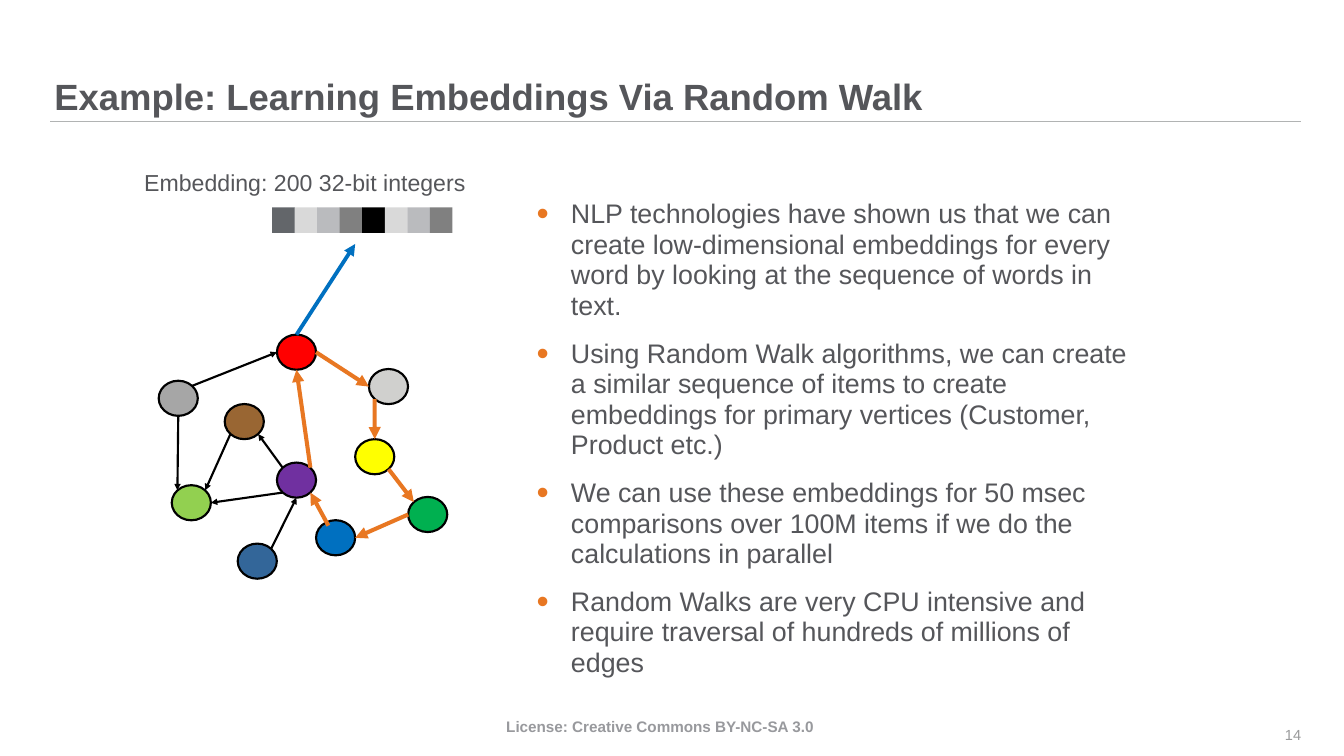
from lxml.etree import SubElement
from pptx import Presentation
from pptx.dml.color import RGBColor
from pptx.enum.shapes import MSO_CONNECTOR as CXN, MSO_SHAPE as SHAPE
from pptx.enum.text import MSO_ANCHOR as ANCHOR, MSO_AUTO_SIZE as AUTO, PP_ALIGN as ALIGN
from pptx.oxml.ns import qn
from pptx.util import Pt

GREY, ORANGE, BLUE, BLACK = "55565A", "E87722", "0070C0", "000000"


def rgb(hex_text):
    return RGBColor.from_string(hex_text)


def add_run(p, text, size, color=GREY, bold=False):
    r = p.add_run()
    r.text = text
    r.font.name, r.font.size, r.font.bold = "Arial", Pt(size), bold
    r.font.color.rgb = rgb(color)


prs = Presentation()
prs.slide_width, prs.slide_height = Pt(1408.32), Pt(792)
s = prs.slides.add_slide(prs.slide_layouts[1])

# Title and body placeholders
title, body = s.shapes.title, s.placeholders[1]
for sp, box, anchor in [(title, (56.9, 0, 1306.8, 123.8), ANCHOR.BOTTOM),
                        (body, (562.3, 208.8, 640.8, 487.4), ANCHOR.TOP)]:
    sp.left, sp.top, sp.width, sp.height = [Pt(v) for v in box]
    tf = sp.text_frame
    tf.margin_left = tf.margin_top = tf.margin_right = tf.margin_bottom = 0
    tf.vertical_anchor, tf.word_wrap, tf.auto_size = anchor, True, AUTO.NONE

p = title.text_frame.paragraphs[0]
p.alignment, p.line_spacing = ALIGN.LEFT, 0.9
add_run(p, "Example: Learning Embeddings Via Random Walk", 38.2, bold=True)

# Bullet list
bullets = [
    "NLP technologies have shown us that we can create low-dimensional embeddings "
    "for every word by looking at the sequence of words in text.",
    "Using Random Walk algorithms, we can create a similar sequence of items to create "
    "embeddings for primary vertices (Customer, Product etc.)",
    "We can use these embeddings for 50 msec comparisons over 100M items "
    "if we do the calculations in parallel",
    "Random Walks are very CPU intensive and require traversal "
    "of hundreds of millions of edges",
]
tf = body.text_frame
for i, text in enumerate(bullets):
    p = tf.add_paragraph() if i else tf.paragraphs[0]
    pPr = p._p.get_or_add_pPr()
    pPr.set("marL", str(Pt(36)))
    pPr.set("indent", str(-Pt(36)))
    SubElement(SubElement(pPr, qn("a:buClr")), qn("a:srgbClr"), val=ORANGE)
    SubElement(pPr, qn("a:buSzPct"), val="130000")
    SubElement(pPr, qn("a:buFont"), typeface="Arial")
    SubElement(pPr, qn("a:buChar"), char="•")
    p.alignment, p.line_spacing = ALIGN.LEFT, 0.95
    p.space_before, p.space_after = Pt(10.2 if i else 0), Pt(7.7)
    add_run(p, text, 28.1)

# Embedding label, licence and page number
labels = [
    ("Embedding: 200 32-bit integers", (144, 172.1, 355, 36.7), 24.2, GREY, False, ALIGN.LEFT, 7.2),
    ("License: Creative Commons BY-NC-SA 3.0", (414, 748.1, 555.1, 26.6), 16, "98999D", True,
     ALIGN.CENTER, 7.2),
    ("14", (1301, 748.8, 62.6, 42.5), 15.3, "999A9B", False, ALIGN.RIGHT, 0),
]
for text, box, size, color, bold, align, margin in labels:
    tf = s.shapes.add_textbox(*[Pt(v) for v in box]).text_frame
    tf.word_wrap, tf.vertical_anchor = True, ANCHOR.MIDDLE
    tf.margin_left = tf.margin_right = Pt(margin)
    p = tf.paragraphs[0]
    p.alignment = align
    add_run(p, text, size, color, bold)

# Embedding cells
cells = ["63666A", "D9D9D9", "BABBBE", "808080", BLACK, "D9D9D9", "BABBBE", "808080"]
for i, color in enumerate(cells):
    sp = s.shapes.add_shape(SHAPE.RECTANGLE, Pt(285.2 + 23.6 * i), Pt(217.4), Pt(23.8), Pt(26.6))
    sp.shadow.inherit = False
    sp.fill.solid()
    sp.fill.fore_color.rgb = rgb(color)
    sp.line.fill.background()

# Graph vertices: centre and fill
W, H = 41, 36.8
nodes = {
    "red": (290.5, 369, "FF0000"),
    "brown": (256, 441.7, "996633"),
    "purple": (310.7, 503, "7030A0"),
    "silver": (407.1, 405, "D0D0CE"),
    "yellow": (392.7, 478.5, "FFFF00"),
    "lime": (200.5, 526.7, "92D050"),
    "blue": (351.7, 563.4, BLUE),
    "grey": (186.8, 417.3, "A6A6A6"),
    "green": (448.2, 539, "00B050"),
    "navy": (269.6, 587.9, "336699"),
}
nodes["red"] = (310.7, 369, "FF0000")
for x, y, color in nodes.values():
    sp = s.shapes.add_shape(SHAPE.OVAL, Pt(x - W / 2), Pt(y - H / 2), Pt(W), Pt(H))
    sp.shadow.inherit = False
    sp.fill.solid()
    sp.fill.fore_color.rgb = rgb(color)
    sp.line.color.rgb, sp.line.width = rgb(BLACK), Pt(2.25)

# Graph edges: from vertex and side, to vertex and side
sides = {"t": (0, -1), "b": (0, 1), "l": (-1, 0), "r": (1, 0), "tl": (-0.71, -0.71),
         "tr": (0.71, -0.71), "bl": (-0.71, 0.71), "br": (0.71, 0.71), "inner": (-0.37, -0.69)}
walk = [("red", "r", "silver", "l"), ("silver", "bl", "yellow", "t"),
        ("yellow", "br", "green", "tl"), ("green", "l", "blue", "r"),
        ("blue", "inner", "purple", "br"), ("purple", "tr", "red", "b")]
other = [("grey", "tr", "red", "l"), ("purple", "tl", "brown", "br"),
         ("brown", "bl", "lime", "tr"), ("grey", "b", "lime", "tl"),
         ("purple", "bl", "lime", "r"), ("navy", "tr", "purple", "b")]

# Title rule and embedding arrow, then every edge
lines = [((52.6, 127.4, 1363.7, 127.4), "B1B3B3", 1, False),
         ((310.7, 350.6, 372.2, 255.6), BLUE, 4, True)]
for edges, color, width in [(other, BLACK, 2.25), (walk, ORANGE, 4.25)]:
    for a, a_side, b, b_side in edges:
        ends = []
        for node, side in [(a, a_side), (b, b_side)]:
            dx, dy = sides[side]
            ends += [nodes[node][0] + dx * W / 2, nodes[node][1] + dy * H / 2]
        lines.append((ends, color, width, True))

for ends, color, width, arrow in lines:
    c = s.shapes.add_connector(CXN.STRAIGHT, *[Pt(v) for v in ends])
    c.line.color.rgb, c.line.width = rgb(color), Pt(width)
    if arrow:
        SubElement(c.line._get_or_add_ln(), qn("a:tailEnd"), type="triangle")
    SubElement(c._element.spPr, qn("a:effectLst"))

prs.save("out.pptx")
